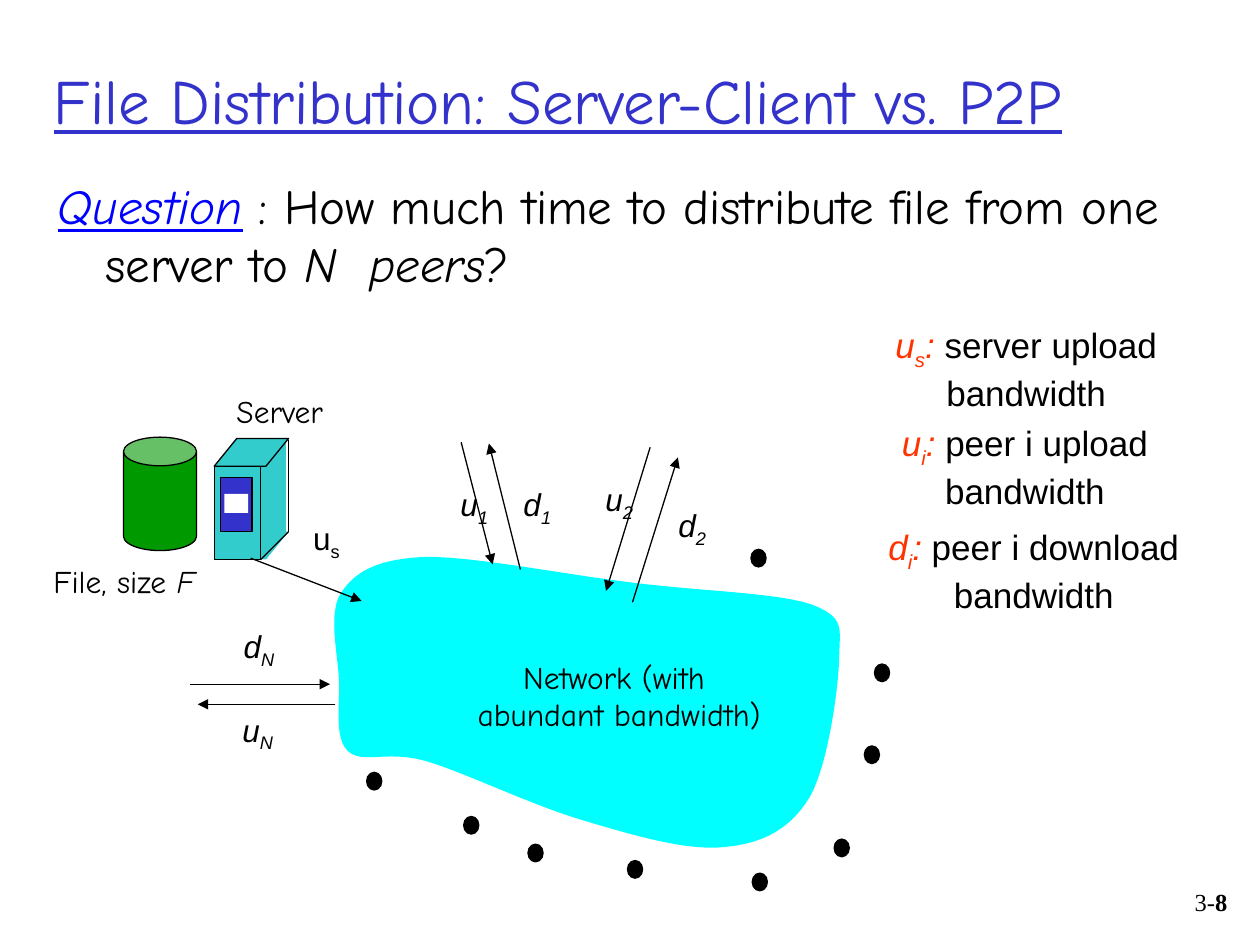
import pptx
import pptx.util
import pptx.dml.color
import pptx.enum.shapes
import pptx.enum.text
import pptx.oxml
import pptx.oxml.ns
from dataclasses import dataclass

SHAPE = pptx.enum.shapes.MSO_SHAPE
ALIGN = pptx.enum.text.PP_ALIGN
ANCHOR = pptx.enum.text.MSO_ANCHOR
FIT = pptx.enum.text.MSO_AUTO_SIZE


@dataclass(frozen=True)
class Theme:
    black: str = "000000"
    white: str = "FFFFFF"
    blue: str = "3333CC"
    link: str = "0000FF"
    red: str = "FF3300"
    teal: str = "33CCCC"
    cyan: str = "00FFFF"
    green: str = "009900"
    hand: str = "Comic Neue"
    sans: str = "Arial"
    serif: str = "Times New Roman"
    title: int = 36
    body: int = 28
    term: int = 20
    label: int = 18
    page: int = 14
    line: float = 0.75


theme = Theme()
SCALE = 9144

TITLE = [("File Distribution: Server-Client vs. P2P", "u", theme.blue)]
QUERY = [
    ("Question", "iu", theme.link),
    (" : How much time to distribute file from one server to ", "", theme.black),
    ("N  peers", "i", theme.black),
    ("?", "", theme.black),
]
TERMS = [
    ("u", "s", " server upload bandwidth", (673, 252)),
    ("u", "i", " peer i upload bandwidth", (672, 330)),
    ("d", "i", " peer i download bandwidth", (679, 412)),
]
RATES = [
    ("u", "2", (458, 376)), ("d", "1", (393, 380)),
    ("d", "2", (516, 397)), ("u", "1", (343, 380)),
    ("u", "N", (171, 559)), ("d", "N", (172, 493)),
]
ARROWS = [
    ((199, 443), (287, 477)),
    ((413, 452), (388, 352)), ((366, 351), (391, 448)),
    ((516, 355), (481, 469)), ((502, 478), (538, 363)),
    ((151, 543), (262, 543)), ((266, 559), (157, 559)),
]
ARROWS[1] = ARROWS[1][0], ARROWS[1][1]
ARROWS[3:5] = [((481, 469), (516, 355)), ((538, 363), (502, 478))]
ARROWS[4] = ((516, 363), (481, 469))
ARROWS[3:5] = [((502, 478), (538, 363)), ((516, 355), (481, 469))]
DOTS = [(291, 613), (368, 648), (419, 670), (498, 683), (597, 693),
        (662, 666), (686, 592), (596, 436), (694, 527)]
START = (336, 442)
CURVES = [
    ((298, 444), (282, 454), (271, 470)), ((260, 486), (268, 518), (269, 539)),
    ((270, 560), (265, 585), (276, 596)), ((288, 607), (306, 595), (338, 604)),
    ((369, 613), (426, 641), (466, 652)), ((506, 664), (548, 676), (577, 672)),
    ((607, 669), (628, 657), (643, 632)), ((657, 607), (665, 549), (666, 524)),
    ((666, 499), (672, 491), (645, 480)), ((617, 470), (550, 469), (499, 462)),
    ((448, 456), (374, 441), START),
]
SERVER = [
    (SHAPE.PARALLELOGRAM, (170, 422, 59, 22), theme.teal, False, 0.814),
    (SHAPE.RECTANGLE, (200, 349, 27, 74), theme.teal, False, None),
    (SHAPE.RECTANGLE, (170, 370, 37, 74), theme.teal, True, None),
    (SHAPE.PARALLELOGRAM, (170, 348, 59, 22), theme.teal, True, 0.814),
    (SHAPE.RECTANGLE, (175, 379, 25, 43), theme.blue, True, None),
    (SHAPE.RECTANGLE, (178, 392, 19, 15), theme.white, False, None),
]
EDGES = [((229, 349), (229, 422)), ((229, 422), (207, 444))]


def emu(*sizes):
    return [pptx.util.Emu(size * SCALE) for size in sizes]


def tint(code):
    return pptx.dml.color.RGBColor.from_string(code)


def paint(shape, fill, edge):
    shape.shadow.inherit = False
    shape.fill.solid()
    shape.fill.fore_color.rgb = tint(fill)
    if edge:
        shape.line.color.rgb = tint(theme.black)
        shape.line.width = pptx.util.Pt(theme.line)
    else:
        shape.line.fill.background()


def draw(shapes, kind, box, fill, edge, bend=None):
    shape = shapes.add_shape(kind, *emu(*box))
    if bend is not None:
        shape.adjustments[0] = bend
    paint(shape, fill, edge)


def link(shapes, start, end, arrow=False):
    line = shapes.add_connector(
        pptx.enum.shapes.MSO_CONNECTOR.STRAIGHT, *emu(*start, *end))
    line.line.color.rgb = tint(theme.black)
    line.line.width = pptx.util.Pt(theme.line)
    if arrow:
        tip = pptx.oxml.parse_xml(
            f'<a:tailEnd {pptx.oxml.ns.nsdecls("a")} type="triangle"/>')
        line.line._get_or_add_ln().append(tip)
    line._element.spPr.append(pptx.oxml.parse_xml(
        f'<a:effectLst {pptx.oxml.ns.nsdecls("a")}/>'))


def write(slide, box, rows, size, face, align=ALIGN.CENTER, wrap=True, grow=True):
    frame = slide.shapes.add_textbox(*emu(*box)).text_frame
    frame.word_wrap = wrap
    frame.auto_size = FIT.SHAPE_TO_FIT_TEXT if grow else FIT.NONE
    for spot, row in enumerate(rows):
        para = frame.add_paragraph() if spot else frame.paragraphs[0]
        para.alignment = align
        for text, style, code in row:
            run = para.add_run()
            run.text = text
            font = run.font
            font.name, font.size = face, pptx.util.Pt(size)
            font.color.rgb = tint(code)
            font.italic, font.underline = "i" in style, "u" in style
            font.bold = "b" in style
            if "s" in style:
                run._r.get_or_add_rPr().set("baseline", "-25000")
    return frame


def trace(start, curves, steps=12):
    spots = []
    for one, two, end in curves:
        for step in range(1, steps + 1):
            t = step / steps
            parts = ((1 - t) ** 3, 3 * t * (1 - t) ** 2, 3 * t * t * (1 - t), t ** 3)
            spots.append(tuple(
                round(SCALE * sum(p * v for p, v in zip(parts, axis)))
                for axis in zip(start, one, two, end)))
        start = end
    return spots


def main():
    deck = pptx.Presentation()
    deck.slide_width, deck.slide_height = emu(1000, 750)
    slide = deck.slides.add_slide(deck.slide_layouts[6])
    shapes = slide.shapes
    ink = theme.black

    write(slide, (908, 699, 76, 50), [[("3-", "", ink), ("8", "b", ink)]],
          theme.page, theme.serif, ALIGN.RIGHT, grow=False)
    head = write(slide, (33, 16, 932, 125), [TITLE], theme.title, theme.hand,
                 ALIGN.LEFT, grow=False)
    head.vertical_anchor = ANCHOR.MIDDLE
    body = write(slide, (36, 134, 925, 125), [QUERY], theme.body, theme.hand,
                 ALIGN.LEFT, grow=False)
    props = body.paragraphs[0]._p.get_or_add_pPr()
    hang = emu(38)[0]
    props.set("marL", str(hang))
    props.set("indent", str(-hang))

    pen = shapes.build_freeform(*emu(*START), scale=1.0)
    pen.add_line_segments(trace(START, CURVES), close=True)
    paint(pen.convert_to_shape(), theme.cyan, False)

    group = shapes.add_group_shape().shapes
    for part in SERVER:
        draw(group, *part)
    for start, end in EDGES:
        link(group, start, end)
    for start, end in ARROWS:
        link(shapes, start, end, True)
    for left, top in DOTS:
        draw(shapes, SHAPE.OVAL, (left, top, 12, 14), ink, True)
    draw(shapes, SHAPE.CAN, (98, 347, 58, 90), theme.green, True, 0.392)

    write(slide, (238, 407, 42, 40), [[("u", "", ink), ("s", "s", ink)]],
          theme.label, theme.sans, wrap=False)
    for name, sub, spot in RATES:
        write(slide, (*spot, 67, 40), [[(name, "i", ink), (sub, "is", ink)]],
              theme.label, theme.sans)
    write(slide, (158, 306, 128, 40), [[("Server", "", ink)]],
          theme.label, theme.hand)
    write(slide, (360, 517, 263, 70),
          [[("Network (with ", "", ink)], [("abundant bandwidth)", "", ink)]],
          theme.label, theme.hand, wrap=False)
    write(slide, (8, 441, 181, 40), [[("File, size ", "", ink), ("F", "i", ink)]],
          theme.label, theme.hand)
    for name, sub, text, spot in TERMS:
        write(slide, (*spot, 283, 77),
              [[(name, "i", theme.red), (sub, "is", theme.red),
                (":", "i", theme.red), (text, "", ink)]],
              theme.term, theme.sans)
    deck.save("out.pptx")


if __name__ == "__main__":
    main()
